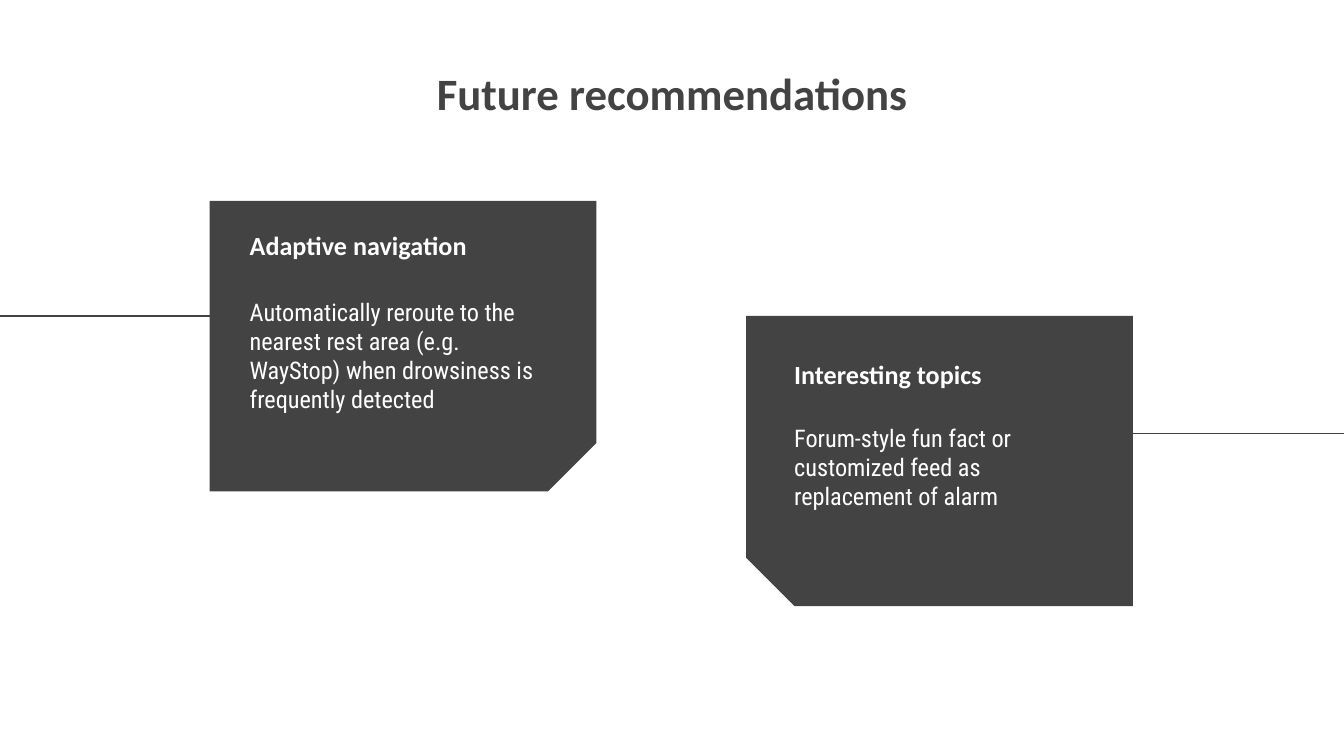
from dataclasses import dataclass

from pptx import Presentation
from pptx.dml.color import RGBColor as Rgb
from pptx.enum.shapes import MSO_CONNECTOR as Conn, MSO_SHAPE as Kind
from pptx.enum.text import MSO_ANCHOR as Anchor, MSO_AUTO_SIZE as Fit, PP_ALIGN as Align
from pptx.oxml.ns import qn
from pptx.slide import Slide
from pptx.text.text import TextFrame
from pptx.util import Cm, Pt
from lxml.etree import SubElement


@dataclass(frozen=True)
class Style:
    font: str
    size: float
    color: Rgb
    bold: bool


@dataclass(frozen=True)
class Theme:
    dark: Rgb
    title: Style
    head: Style
    body: Style
    rule: float
    inset: float
    snip: float


DARK, WHITE = Rgb.from_string("434343"), Rgb.from_string("FFFFFF")
THEME = Theme(
    dark=DARK,
    title=Style("Calibri", 24, DARK, True),
    head=Style("Calibri", 14, WHITE, True),
    body=Style("Roboto Condensed", 13, WHITE, False),
    rule=0.75,
    inset=0.25,
    snip=0.167,
)
WIDE, HIGH = 25.4, 14.29
CARD_W, CARD_H = 7.31, 5.49


@dataclass(frozen=True)
class Box:
    left: float
    top: float
    width: float
    height: float


@dataclass(frozen=True)
class Card:
    left: float
    top: float
    turn: int
    flip: bool
    rule_y: float
    rule_from: float
    rule_to: float
    head: str
    head_box: Box
    body: str
    body_box: Box


CARDS = [
    Card(14.1, 5.97, 270, True, 8.2, WIDE, 18.57,
         "Interesting topics", Box(14.76, 6.43, 5.99, 1.19),
         "Forum-style fun fact or customized feed as replacement of alarm",
         Box(14.76, 7.75, 5.99, 2.79)),
    Card(3.96, 3.8, 90, False, 5.97, 6.73, 0,
         "Adaptive navigation", Box(4.47, 3.99, 5.99, 1.19),
         "Automatically reroute to the nearest rest area (e.g. WayStop) "
         "when drowsiness is frequently detected",
         Box(4.47, 5.36, 6.27, 2.79)),
]


def place(box: Box) -> tuple:
    return Cm(box.left), Cm(box.top), Cm(box.width), Cm(box.height)


def write(frame: TextFrame, text: str, style: Style,
          anchor: Anchor = Anchor.TOP, align: Align = Align.LEFT) -> None:
    frame.word_wrap = True
    frame.auto_size = Fit.NONE
    frame.vertical_anchor = anchor
    frame.margin_left = frame.margin_right = Cm(THEME.inset)
    frame.margin_top = frame.margin_bottom = Cm(THEME.inset)
    para = frame.paragraphs[0]
    para.alignment = align
    para.space_before = Pt(0)
    run = para.add_run()
    run.text = text
    run.font.name = style.font
    run.font.size = Pt(style.size)
    run.font.bold = style.bold
    run.font.color.rgb = style.color


def add_title(slide: Slide, text: str, box: Box) -> None:
    title = slide.shapes.title
    title.left, title.top, title.width, title.height = place(box)
    write(title.text_frame, text, THEME.title, align=Align.CENTER)


def add_panel(slide: Slide, card: Card) -> None:
    shift = (CARD_W - CARD_H) / 2
    box = Box(card.left + shift, card.top - shift, CARD_H, CARD_W)
    panel = slide.shapes.add_shape(Kind.SNIP_1_RECTANGLE, *place(box))
    panel.adjustments[0] = THEME.snip
    panel.rotation = card.turn
    if card.flip:
        panel._element.spPr.find(qn("a:xfrm")).set("flipH", "1")
    panel.shadow.inherit = False
    panel.fill.solid()
    panel.fill.fore_color.rgb = THEME.dark
    panel.line.fill.background()


def add_rule(slide: Slide, card: Card) -> None:
    y = Cm(card.rule_y)
    rule = slide.shapes.add_connector(
        Conn.STRAIGHT, Cm(card.rule_from), y, Cm(card.rule_to), y)
    rule.line.color.rgb = THEME.dark
    rule.line.width = Pt(THEME.rule)
    SubElement(rule._element.spPr, qn("a:effectLst"))


def add_text(slide: Slide, text: str, box: Box, style: Style, anchor: Anchor) -> None:
    label = slide.shapes.add_textbox(*place(box))
    write(label.text_frame, text, style, anchor)


def main() -> None:
    deck = Presentation()
    deck.slide_width, deck.slide_height = Cm(WIDE), Cm(HIGH)
    slide = deck.slides.add_slide(deck.slide_layouts[5])
    add_title(slide, "Future recommendations", Box(5.46, 0.99, 14.48, 2.62))
    for card in CARDS:
        add_panel(slide, card)
        add_rule(slide, card)
        add_text(slide, card.head, card.head_box, THEME.head, Anchor.BOTTOM)
        add_text(slide, card.body, card.body_box, THEME.body, Anchor.TOP)
    deck.save("out.pptx")


if __name__ == "__main__":
    main()
